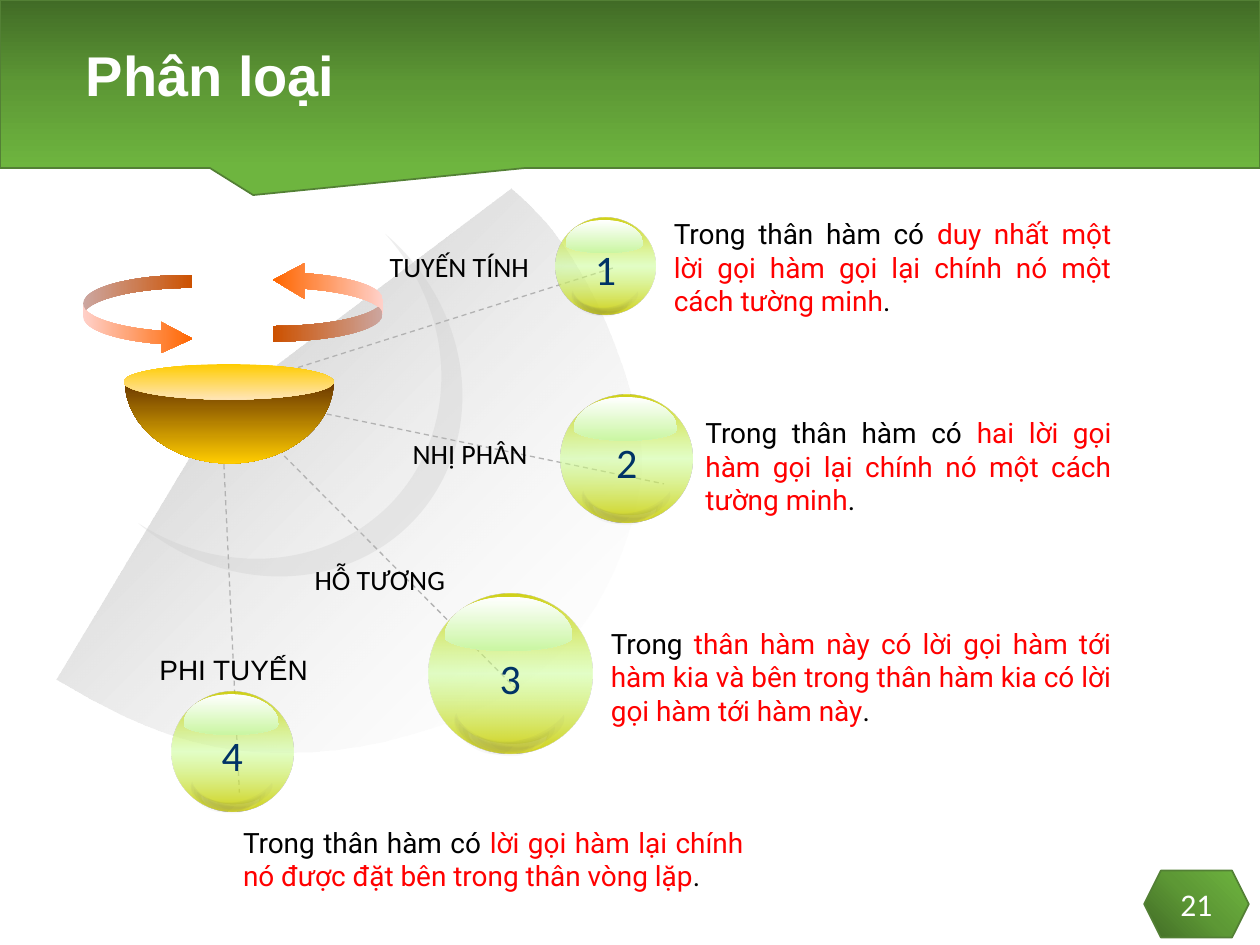
from dataclasses import dataclass
from math import cos, pi, sin
from typing import NamedTuple

from pptx import Presentation
from pptx.dml.color import RGBColor
from pptx.enum.dml import MSO_LINE
from pptx.enum.shapes import MSO_CONNECTOR, MSO_SHAPE
from pptx.enum.text import MSO_ANCHOR, MSO_AUTO_SIZE, PP_ALIGN
from pptx.oxml import parse_xml
from pptx.oxml.ns import nsdecls, qn
from pptx.util import Pt

ELLIPSE, MOON, HEXAGON = MSO_SHAPE.OVAL, MSO_SHAPE.MOON, MSO_SHAPE.HEXAGON
CALLOUT, ARROW = MSO_SHAPE.RECTANGULAR_CALLOUT, MSO_SHAPE.CURVED_RIGHT_ARROW
STRAIGHT, DASH = MSO_CONNECTOR.STRAIGHT, MSO_LINE.DASH
LEFT, CENTER, JUSTIFY = PP_ALIGN.LEFT, PP_ALIGN.CENTER, PP_ALIGN.JUSTIFY
MIDDLE, TOP, GROW = MSO_ANCHOR.MIDDLE, MSO_ANCHOR.TOP, MSO_AUTO_SIZE.SHAPE_TO_FIT_TEXT


class Stop(NamedTuple):
    pos: int
    color: str
    alpha: int = 100


class Box(NamedTuple):
    x: float
    y: float
    w: float
    h: float


class Run(NamedTuple):
    text: str
    color: str


@dataclass(frozen=True)
class Theme:
    green = [Stop(0, "416B26"), Stop(50, "5D9835"), Stop(100, "6EB53F")]
    green_line = "538035"
    fan = [Stop(0, "B2B2B2"), Stop(100, "FFFFFF", 0)]
    band = [Stop(0, "C9C9C9", 30)]
    ray = "B2B2B2"
    bowl = [Stop(0, "663300"), Stop(100, "FFCC00")]
    lid = [Stop(0, "FFCC00"), Stop(100, "FFE5B6")]
    ball = [Stop(0, "CCCC00", 90), Stop(50, "CCFF99", 55), Stop(100, "CCCC00", 90)]
    gloss = [Stop(0, "FFFFFF"), Stop(100, "CAF6A2")]
    shade = [Stop(0, "5F5F5F", 4)]
    glint = [Stop(0, "FFFFFF", 9)]
    arrow = [Stop(0, "FFD0C9"), Stop(100, "FF6600")]
    white, black, red, navy = "FFFFFF", "000000", "FF0000", "003366"
    title_size, number_size, page_size, text_size = 32, 24, 18, 16


T = Theme()


class Ball(NamedTuple):
    number: str
    box: Box
    glint: list[Stop]


class Crescent(NamedTuple):
    """Centre and size as shares of the ball, and rotation in degrees."""
    cx: float
    cy: float
    w: float
    h: float
    turn: float


class Label(NamedTuple):
    text: str
    box: Box
    font: str = "Calibri"


class Note(NamedTuple):
    lead: str
    stress: str
    box: Box


CRESCENTS = [Crescent(cx, cy, 0.12, 0.48, turn) for cx, cy, turn in (
    (0.62, 0.9, 70.3), (0.54, 0.92, 83.9), (0.5, 0.93, 88.8), (0.44, 0.93, 97.7),
    (0.48, 0.94, 92.9), (0.4, 0.94, 106.4), (0.37, 0.92, 111.4))]
CRESCENTS.append(Crescent(0.31, 0.91, 0.13, 0.4, 120.2))
GLINT_TURN = 92.9
BALLS = [Ball("2", Box(320.4, 225.4, 75.6, 73.4), T.glint),
         Ball("1", Box(317.5, 124.6, 56.9, 55.4), T.shade),
         Ball("3", Box(244.8, 339.1, 93.6, 91.4), T.glint),
         Ball("4", Box(97.9, 395.3, 69.8, 68.4), T.glint)]
LABELS = [Label("TUYẾN TÍNH", Box(198, 139, 128.9, 26.6)),
          Label("NHỊ PHÂN", Box(218.9, 246.2, 99.4, 26.6)),
          Label("HỖ TƯƠNG", Box(152.6, 318.2, 128.9, 26.6)),
          Label("PHI TUYẾN", Box(25.2, 369.4, 216.7, 26.6), "Arial")]
NOTES = [
    Note("Trong thân hàm có ", "duy nhất một lời gọi hàm gọi lại chính nó một cách tường minh",
         Box(378, 120.2, 264.2, 65.5)),
    Note("Trong thân hàm có ", "hai lời gọi hàm gọi lại chính nó một cách tường minh",
         Box(396, 234, 246.2, 65.5)),
    Note("Trong ", "thân hàm này có lời gọi hàm tới hàm kia và bên trong thân hàm kia "
         "có lời gọi hàm tới hàm này", Box(342, 354.2, 300.2, 65.5)),
    Note("Trong thân hàm có ", "lời gọi hàm lại chính nó được đặt bên trong thân vòng lặp",
         Box(131.8, 468, 300.2, 46)),
]
RAY_START = (126, 224)
RAY_ENDS = [(352, 152.6), (379.4, 276.5), (296.6, 395.3), (136.8, 452.9)]
FAN_TIP = (125.3, 233.3)
FAN_RIM = [(32.4, 388.1), (72.7, 411.8), (108, 428.4), (154.1, 429.8),
           (200.2, 432), (265.7, 417.6), (307.4, 383.8),
           (348.5, 349.2), (361.4, 301.7), (365.8, 273.6),
           (369.4, 246.2), (354.2, 201.6), (340.6, 173.5),
           (326.9, 146.2), (314.6, 127.4), (291.6, 108)]


def paint(sp, stops: list[Stop], angle: float = 90, line: str = "") -> None:
    """Fill with one colour or a gradient; angle is clockwise in degrees."""
    sp.shadow.inherit = False
    if len(stops) == 1:
        sp.fill.solid()
        sp.fill.fore_color.rgb = RGBColor.from_string(stops[0].color)
        clr = sp._element.spPr.find(qn("a:solidFill"))[0]
        clr.append(parse_xml(f'<a:alpha {nsdecls("a")} val="{stops[0].alpha * 1000}"/>'))
    else:
        sp.fill.gradient()
        sp.fill.gradient_angle = -angle % 360
        gs_list = sp._element.spPr.find(qn("a:gradFill")).find(qn("a:gsLst"))
        for old in list(gs_list):
            gs_list.remove(old)
        for pos, color, alpha in stops:
            gs_list.append(parse_xml(
                f'<a:gs {nsdecls("a")} pos="{pos * 1000}"><a:srgbClr val="{color}">'
                f'<a:alpha val="{alpha * 1000}"/></a:srgbClr></a:gs>'))
    if line:
        sp.line.color.rgb = RGBColor.from_string(line)
        sp.line.width = Pt(1)
    else:
        sp.line.fill.background()


def add_preset(shapes, kind, box: Box, stops: list[Stop], angle: float = 90, line: str = "",
               adj: tuple = (), turn: float = 0, flip: str = ""):
    sp = shapes.add_shape(kind, *map(Pt, box))
    for i, value in enumerate(adj):
        sp.adjustments[i] = value
    sp.rotation = turn
    for axis in flip:
        sp._element.spPr.find(qn("a:xfrm")).set("flip" + axis, "1")
    paint(sp, stops, angle, line)
    return sp


def add_outline(shapes, points: list[tuple], stops: list[Stop], angle: float = 90) -> None:
    first, *rest = [(Pt(x), Pt(y)) for x, y in points]
    builder = shapes.build_freeform(*first)
    builder.add_line_segments(rest, close=True)
    paint(builder.convert_to_shape(), stops, angle)


def arc(cx: float, cy: float, rx: float, ry: float, start: float, end: float) -> list[tuple]:
    angles = [start + (end - start) * i / 30 for i in range(31)]
    return [(cx + rx * cos(a), cy + ry * sin(a)) for a in angles]


def curve(knots: list[tuple]) -> list[tuple]:
    """Points along joined cubic Bézier segments."""
    points = [knots[0]]
    for k in range(0, len(knots) - 1, 3):
        for t in (i / 12 for i in range(1, 13)):
            weights = ((1 - t) ** 3, 3 * t * (1 - t) ** 2, 3 * t * t * (1 - t), t ** 3)
            points.append(tuple(sum(w * q[d] for w, q in zip(weights, knots[k:k + 4]))
                                for d in (0, 1)))
    return points


def write(sp, runs: list[Run], size: float, font: str, align, anchor=TOP, bold=False):
    tf = sp.text_frame
    for name, value in {"word_wrap": True, "vertical_anchor": anchor}.items():
        setattr(tf, name, value)
    p = tf.paragraphs[0]
    p.alignment = align
    for text, color in runs:
        r = p.add_run()
        r.text = text
        for name, value in {"size": Pt(size), "name": font, "bold": bold}.items():
            setattr(r.font, name, value)
        r.font.color.rgb = RGBColor.from_string(color)
    return p


def add_text(shapes, box: Box, runs: list[Run], size: float, font: str, align):
    sp = shapes.add_textbox(*map(Pt, box))
    sp.text_frame.auto_size = GROW
    return write(sp, runs, size, font, align)


def add_label(shapes, label: Label) -> None:
    p = add_text(shapes, label.box, [Run(label.text, T.black)], T.text_size, label.font, CENTER)
    fill = p.runs[0].font._element.find(qn("a:solidFill"))
    fill.addnext(parse_xml(
        f'<a:effectLst {nsdecls("a")}><a:outerShdw dist="17961" dir="2700000">'
        '<a:srgbClr val="000000"/></a:outerShdw></a:effectLst>'))


def add_ball(shapes, ball: Ball) -> None:
    x, y, w, h = ball.box
    group = shapes.add_group_shape().shapes
    add_preset(group, ELLIPSE, ball.box, T.ball)
    for c in CRESCENTS:
        cw, ch = c.w * w, c.h * w
        box = Box(x + c.cx * w - cw / 2, y + c.cy * h - ch / 2, cw, ch)
        stops = ball.glint if c.turn == GLINT_TURN else T.shade
        add_preset(group, MOON, box, stops, turn=c.turn, flip="HV", adj=(0.5,))
    cx, cy, rx = x + 0.49 * w, y + 0.27 * h, 0.39 * w
    gloss = arc(cx, cy, rx, 0.25 * h, pi, 2 * pi) + arc(cx, cy, rx, 0.09 * h, 0, pi)
    add_outline(group, gloss, T.gloss)
    add_text(group, Box(x, y + 0.53 * h - 18.4, w, 36.7), [Run(ball.number, T.navy)],
             T.number_size, "Calibri", CENTER)


def add_ray(shapes, end: tuple) -> None:
    ray = shapes.add_connector(STRAIGHT, *map(Pt, RAY_START + end))
    ray.line.color.rgb = RGBColor.from_string(T.ray)
    ray.line.width = Pt(0.75)
    ray.line.dash_style = DASH
    ray._element.spPr.append(parse_xml(f'<a:effectLst {nsdecls("a")}/>'))


def main() -> None:
    prs = Presentation()
    prs.slide_width, prs.slide_height = Pt(720), Pt(540)
    s = prs.slides.add_slide(prs.slide_layouts[5])
    shapes, title = s.shapes, s.shapes.title
    header = add_preset(shapes, CALLOUT, Box(0, 0, 720, 96), T.green, line=T.green_line,
                        adj=(-0.299, 0.661))
    title._element.addprevious(header._element)
    for name, value in zip(("left", "top", "width", "height"), (41.8, 5.8, 635.8, 77.8)):
        setattr(title, name, Pt(value))
    p = write(title, [Run("Phân loại", T.white)], T.title_size, "Arial", LEFT, MIDDLE, True)
    p.line_spacing = 0.9
    page = add_preset(shapes, HEXAGON, Box(653.8, 497.5, 59.8, 38.2), T.green, 315, T.green_line)
    write(page, [Run("21", T.white)], T.page_size, "Calibri", CENTER, MIDDLE)

    add_outline(shapes, [FAN_TIP] + curve(FAN_RIM), T.fan, 45)
    add_preset(shapes, MOON, Box(135.4, 146.2, 118.8, 217.4), T.band, adj=(0.136,),
               turn=40.5, flip="H")
    for end in RAY_ENDS:
        add_ray(shapes, end)
    bowl = shapes.add_group_shape().shapes
    add_outline(bowl, arc(131, 217.4, 59.8, 47.5, 0, pi), T.bowl)
    add_preset(bowl, ELLIPSE, Box(70.6, 208.1, 120.2, 20.2), T.lid)
    for label in LABELS:
        add_label(shapes, label)
    for ball in BALLS:
        add_ball(shapes, ball)
    for lead, stress, box in NOTES:
        runs = [Run(lead, T.black), Run(stress, T.red), Run(".", T.black)]
        add_text(shapes, box, runs, T.text_size, "Roboto", JUSTIFY)
    add_preset(shapes, ARROW, Box(47.5, 157, 62.6, 45.4), T.arrow, 0, adj=(0.165, 0.39, 0.394))
    add_preset(shapes, ARROW, Box(156.2, 149.8, 62.6, 45.4), T.arrow, 0,
               adj=(0.196, 0.447, 0.392), flip="HV")
    prs.save("out.pptx")


if __name__ == "__main__":
    main()
